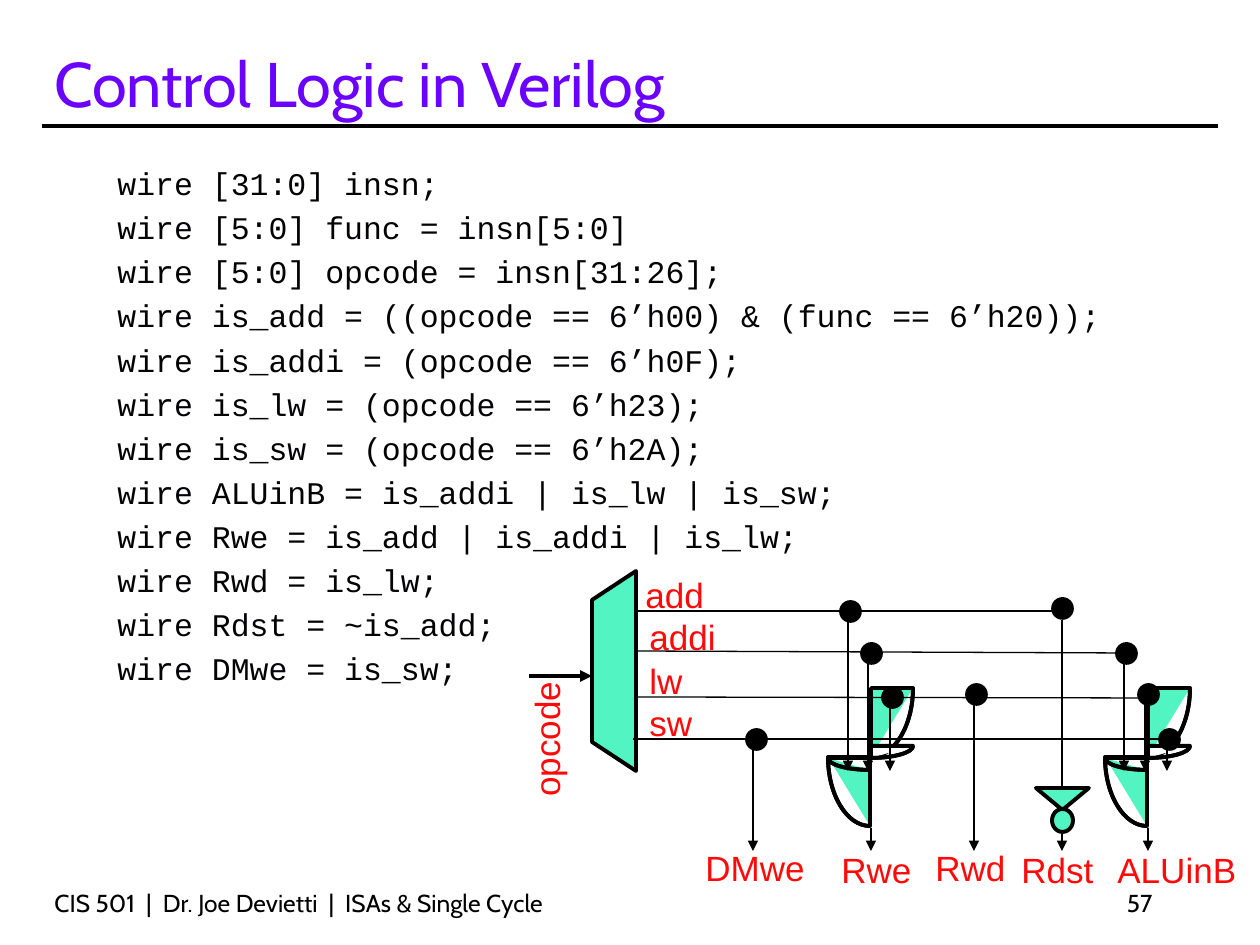
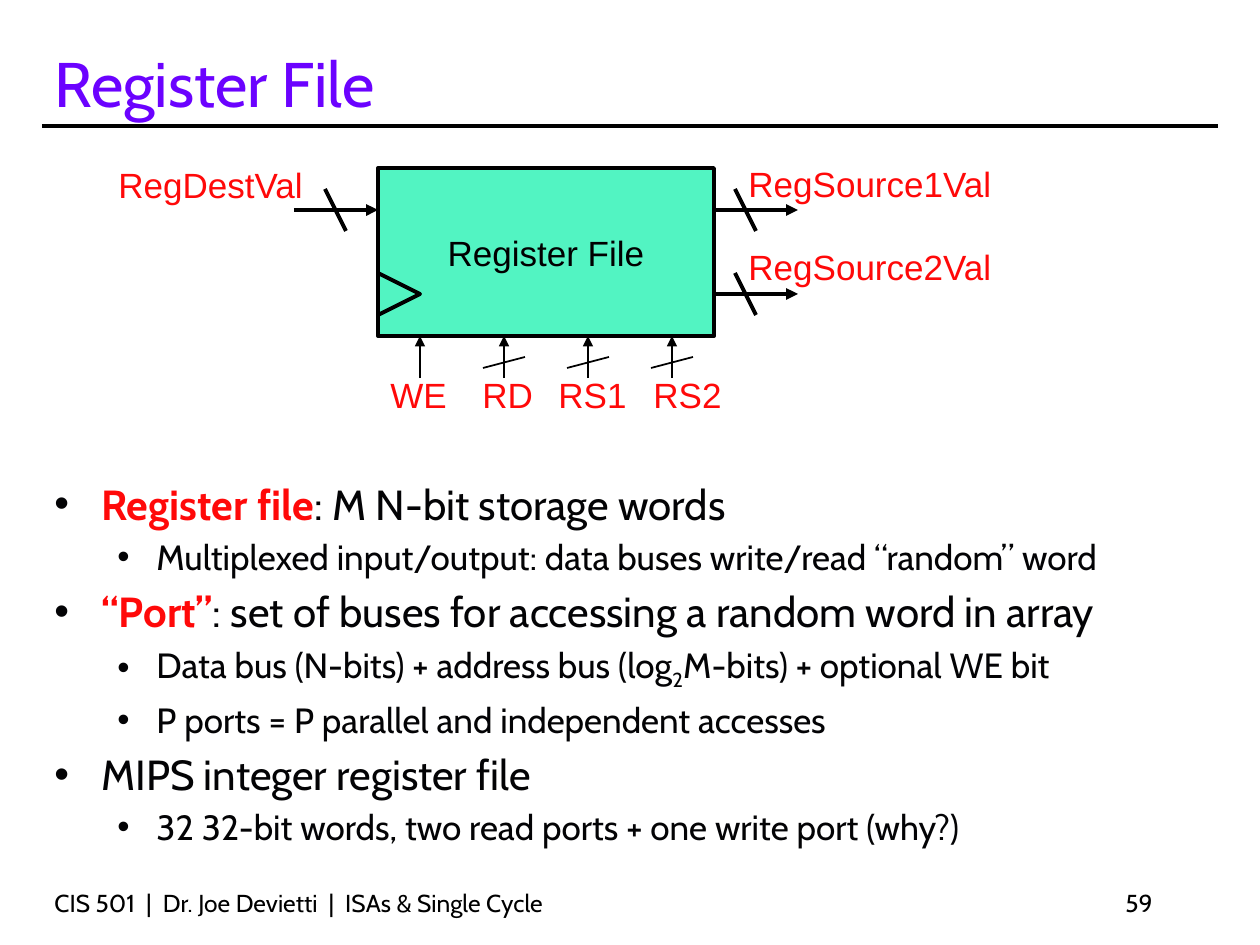
from lxml.etree import SubElement
from pptx import Presentation
from pptx.dml.color import RGBColor
from pptx.enum.shapes import MSO_CONNECTOR, MSO_SHAPE
from pptx.enum.text import MSO_ANCHOR, PP_ALIGN
from pptx.oxml.ns import qn
from pptx.util import Pt

EMU_PER_PX = 914400 / 126
BLACK, INK, RED = "000000", "030305", "FF0909"
PURPLE, MINT, WHITE = "6B02FF", "52F4C2", "FFFFFF"
THICK, MEDIUM, THIN = 2.25, 1, 0.75
FOOTER = "CIS 501  |  Dr. Joe Devietti  |  ISAs & Single Cycle"

VERILOG = """wire [31:0] insn;
wire [5:0] func = insn[5:0]
wire [5:0] opcode = insn[31:26];
wire is_add = ((opcode == 6’h00) & (func == 6’h20));
wire is_addi = (opcode == 6’h0F);
wire is_lw = (opcode == 6’h23);
wire is_sw = (opcode == 6’h2A);
wire ALUinB = is_addi | is_lw | is_sw;
wire Rwe = is_add | is_addi | is_lw;
wire Rwd = is_lw;
wire Rdst = ~is_add;
wire DMwe = is_sw;"""

# Each bullet: level, then (text, style) spans.
BULLETS = [
    (0, [("Register file", "term"), (": M N-bit storage words", "")]),
    (1, [("Multiplexed input/output: data buses write/read “random” word", "")]),
    (0, [("“Port”", "term"),
         (": set of buses for accessing a random word in array", "")]),
    (1, [("Data bus (N-bits) + address bus (log", ""), ("2", "subscript"),
         ("M-bits) + optional WE bit", "")]),
    (1, [("P ports = P parallel and independent accesses", "")]),
    (0, [("MIPS integer register file", "")]),
    (1, [("32 32-bit words, two read ports + one write port (why?)", "")]),
]
# Per level: left margin, hanging indent, text size, space before.
LEVELS = [(47, -47, 24, 4.8), (102, -39, 20, 4)]


def px(length):
    return round(length * EMU_PER_PX)


def color(hex_string):
    return RGBColor.from_string(hex_string)


def style_font(font, name, size, hex_string):
    font.name = name
    font.size = Pt(size)
    font.color.rgb = color(hex_string)


def style_shape(shape, fill, weight=THICK):
    shape.shadow.inherit = False
    if fill:
        shape.fill.solid()
        shape.fill.fore_color.rgb = color(fill)
    else:
        shape.fill.background()
    shape.line.color.rgb = color(BLACK)
    shape.line.width = Pt(weight)


def add_box(page, left, top, width, height, wrap=True, anchor=MSO_ANCHOR.TOP):
    box = page.shapes.add_textbox(px(left), px(top), px(width), px(height))
    box.text_frame.word_wrap = wrap
    box.text_frame.vertical_anchor = anchor
    return box


def add_line_of_text(page, text, at, name, size, hex_string, wrap=True,
                     anchor=MSO_ANCHOR.BOTTOM, align=PP_ALIGN.LEFT):
    box = add_box(page, *at, wrap=wrap, anchor=anchor)
    para = box.text_frame.paragraphs[0]
    para.text = text
    para.alignment = align
    style_font(para.font, name, size, hex_string)
    return box


def add_label(page, text, left, top, width):
    """Add a red signal name."""
    return add_line_of_text(page, text, (left, top, width, 54), "Arial", 20, RED,
                            wrap=False, anchor=MSO_ANCHOR.TOP)


def add_wire(page, start, end, weight=MEDIUM, arrow=False):
    wire = page.shapes.add_connector(MSO_CONNECTOR.STRAIGHT,
                                     *map(px, start), *map(px, end))
    wire.line.color.rgb = color(BLACK)
    wire.line.width = Pt(weight)
    if arrow:
        SubElement(wire.line._get_or_add_ln(), qn("a:tailEnd"), type="triangle")
    SubElement(wire._element.spPr, qn("a:effectLst"))


def add_preset(page, kind, left, top, width, height, fill, weight=THICK):
    shape = page.shapes.add_shape(kind, px(left), px(top), px(width), px(height))
    style_shape(shape, fill, weight)
    return shape


def add_polygon(page, points, fill):
    points = [(px(x), px(y)) for x, y in points]
    builder = page.shapes.build_freeform(*points[0], scale=1.0)
    builder.add_line_segments(points[1:], close=True)
    style_shape(builder.convert_to_shape(), fill)


def bend_segment(move):
    """Turn the straight segment after a move into a quarter ellipse."""
    segment = move.getnext()
    (start_x, start_y), (end_x, end_y) = [
        (int(step[0].get("x")), int(step[0].get("y"))) for step in (move, segment)]
    pull = 0.55
    controls = [(start_x + pull * (end_x - start_x), start_y),
                (end_x, end_y + pull * (start_y - end_y))]
    segment.tag = qn("a:cubicBezTo")
    for position, (x, y) in enumerate(controls):
        point = SubElement(segment, qn("a:pt"), x=str(round(x)), y=str(round(y)))
        segment.insert(position, point)


def add_quarter(page, left, top, radius_x, radius_y, fill):
    """Add a quarter ellipse, filled only inside the chord of its arc."""
    corner = px(left), px(top)
    start = px(left), px(top + radius_y)
    end = px(left + radius_x), px(top)
    builder = page.shapes.build_freeform(*start, scale=1.0)
    builder.add_line_segments([end], close=False)
    builder.move_to(*start)
    builder.add_line_segments([end, corner], close=True)
    quarter = builder.convert_to_shape()
    for move in list(quarter._element.iter(qn("a:moveTo"))):
        bend_segment(move)
    style_shape(quarter, fill)


def add_or_gate(page, x):
    add_quarter(page, x, 688, 42, 69, MINT)
    add_quarter(page, x - 1, 757, -42, 69, MINT)
    add_quarter(page, x, 746, 42, 12, WHITE)
    add_quarter(page, x - 1, 758, -42, 12, WHITE)
    add_wire(page, (x, 828), (x, 851), arrow=True)


def set_indent(para, margin, indent):
    properties = para._p.get_or_add_pPr()
    properties.set("marL", str(px(margin)))
    properties.set("indent", str(px(indent)))
    return properties


def add_code(page, code):
    frame = add_box(page, 42, 158, 1187, 567).text_frame
    for number, line in enumerate(code.splitlines()):
        para = frame.add_paragraph() if number else frame.paragraphs[0]
        para.text = line
        set_indent(para, 102, -39)
        para.space_before = Pt(3.6 if number else 0)
        style_font(para.font, "Courier New", 18, INK)


def add_bullets(page, bullets):
    frame = add_box(page, 42, 472, 1176, 431).text_frame
    for number, (level, spans) in enumerate(bullets):
        para = frame.add_paragraph() if number else frame.paragraphs[0]
        margin, indent, size, space = LEVELS[level]
        para.level = level
        para.space_before = Pt(space if number else 0)
        properties = set_indent(para, margin, indent)
        SubElement(SubElement(properties, qn("a:buClr")), qn("a:srgbClr"), val=INK)
        SubElement(properties, qn("a:buFont"), typeface="Arial")
        SubElement(properties, qn("a:buChar"), char="•")
        style_font(para.font, "Cabin", size, INK)
        for text, style in spans:
            span = para.add_run()
            span.text = text
            if style == "term":
                span.font.bold = True
                span.font.color.rgb = color(RED)
            elif style == "subscript":
                span._r.get_or_add_rPr().set("baseline", "-25000")


def add_page(deck, title, number):
    page = deck.slides.add_slide(deck.slide_layouts[6])
    add_wire(page, (42, 126), (1218, 126), THICK)
    add_line_of_text(page, title, (42, 32, 1113, 94), "Cabin", 36, PURPLE)
    add_line_of_text(page, FOOTER, (42, 882, 788, 42), "Cabin", 14, BLACK)
    add_line_of_text(page, number, (903, 882, 262, 42), "Cabin", 14, BLACK,
                     align=PP_ALIGN.RIGHT)
    return page


def draw_control_logic(page):
    for gate_x in (1148, 871):
        add_or_gate(page, gate_x)
    add_polygon(page, [(592, 600), (636, 571), (636, 771), (592, 742)], MINT)
    add_wire(page, (529, 676), (592, 676), THICK, arrow=True)
    for start, end in [((636, 611), (1062, 611)), ((636, 651), (1124, 653)),
                       ((636, 697), (1145, 698)), ((633, 739), (1167, 739))]:
        add_wire(page, start, end, THIN)

    add_label(page, "opcode", 475, 711, 142).rotation = 270
    for text, left, top, width in [
            ("add", 633, 567, 88), ("addi", 637, 609, 96),
            ("lw", 637, 653, 62), ("sw", 637, 695, 72),
            ("DMwe", 693, 840, 128), ("Rwe", 829, 842, 100),
            ("Rwd", 923, 840, 100), ("Rdst", 1009, 842, 100),
            ("ALUinB", 1105, 842, 147)]:
        add_label(page, text, left, top, width)

    gate_input, output = 771, 851
    for x, top, bottom, dot_left, dot_top in [
            (753, 739, output, 746, 729), (848, 611, gate_input, 840, 601),
            (868, 651, gate_input, 861, 643), (890, 696, gate_input, 882, 687),
            (974, 696, output, 966, 684), (1062, 620, output, 1052, 598),
            (1124, 651, gate_input, 1116, 643), (1145, 697, gate_input, 1138, 684),
            (1167, 739, gate_input, 1159, 729)]:
        add_wire(page, (x, top), (x, bottom), arrow=True)
        add_preset(page, MSO_SHAPE.FLOWCHART_CONNECTOR, dot_left, dot_top, 21, 21,
                   BLACK, MEDIUM)

    add_preset(page, MSO_SHAPE.FLOWCHART_MERGE, 1036, 788, 53, 22, MINT)
    add_preset(page, MSO_SHAPE.FLOWCHART_CONNECTOR, 1052, 809, 21, 23, MINT)


def draw_register_file(page):
    block = add_preset(page, MSO_SHAPE.RECTANGLE, 378, 168, 336, 168, MINT)
    block.text_frame.word_wrap = False
    block.text_frame.vertical_anchor = MSO_ANCHOR.MIDDLE
    para = block.text_frame.paragraphs[0]
    para.text = "Register File"
    para.alignment = PP_ALIGN.CENTER
    style_font(para.font, "Arial", 20, BLACK)
    add_preset(page, MSO_SHAPE.ISOSCELES_TRIANGLE, 378, 273, 42, 42, None).rotation = 90

    for start, y, slash in [(294, 210, 325), (714, 210, 735), (714, 294, 735)]:
        add_wire(page, (start, y), (start + 84, y), THICK, arrow=True)
        add_wire(page, (slash, y - 21), (slash + 21, y + 21), THICK)
    for port in range(4):
        x = 420 + 84 * port
        add_wire(page, (x, 378), (x, 336), arrow=True)
        if port:
            add_wire(page, (x - 21, 368), (x + 21, 357))

    for text, left, top, width in [
            ("RegDestVal", 106, 157, 214), ("RegSource1Val", 736, 156, 271),
            ("RegSource2Val", 736, 239, 271), ("WE", 378, 367, 85),
            ("RD", 470, 367, 79), ("RS1", 546, 367, 96), ("RS2", 641, 367, 96)]:
        add_label(page, text, left, top, width)


def main():
    deck = Presentation()
    deck.slide_width, deck.slide_height = px(1260), px(945)

    control = add_page(deck, "Control Logic in Verilog", "57")
    add_code(control, VERILOG)
    draw_control_logic(control)

    registers = add_page(deck, "Register File", "59")
    add_bullets(registers, BULLETS)
    draw_register_file(registers)

    deck.save("out.pptx")


if __name__ == "__main__":
    main()
